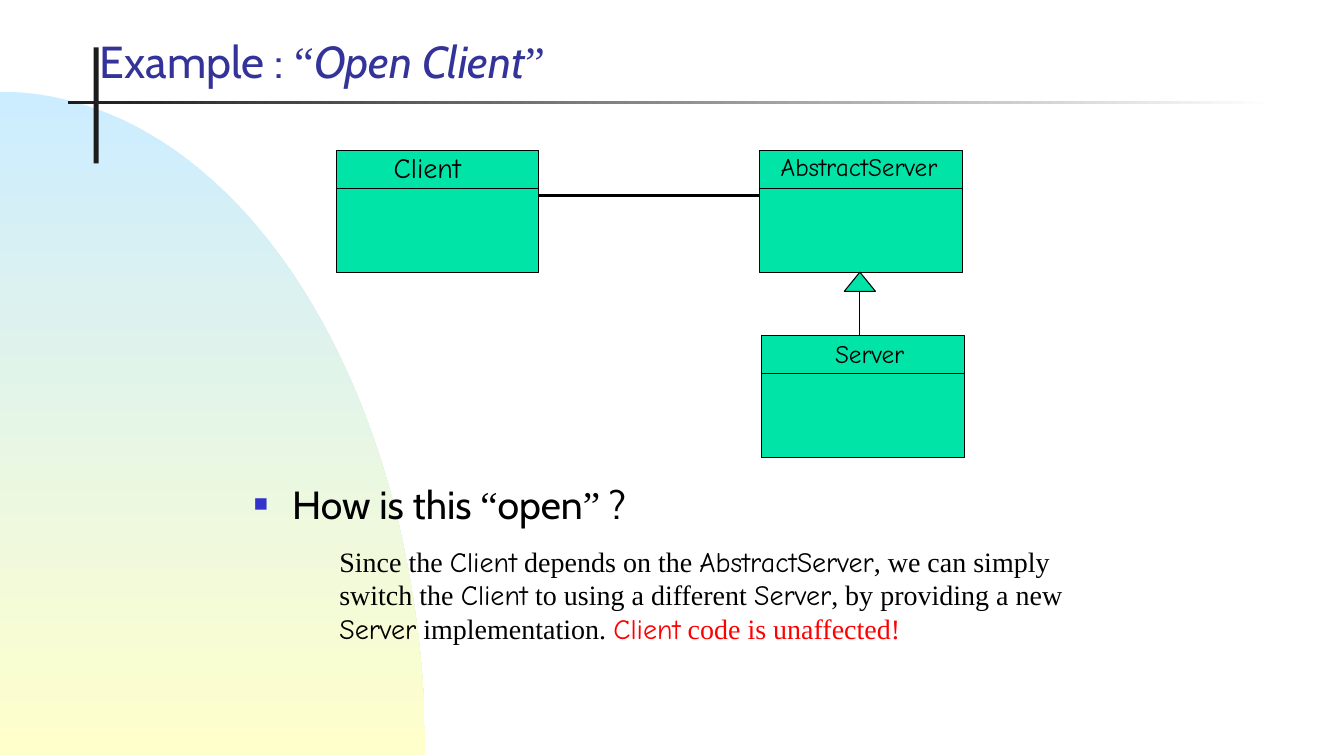
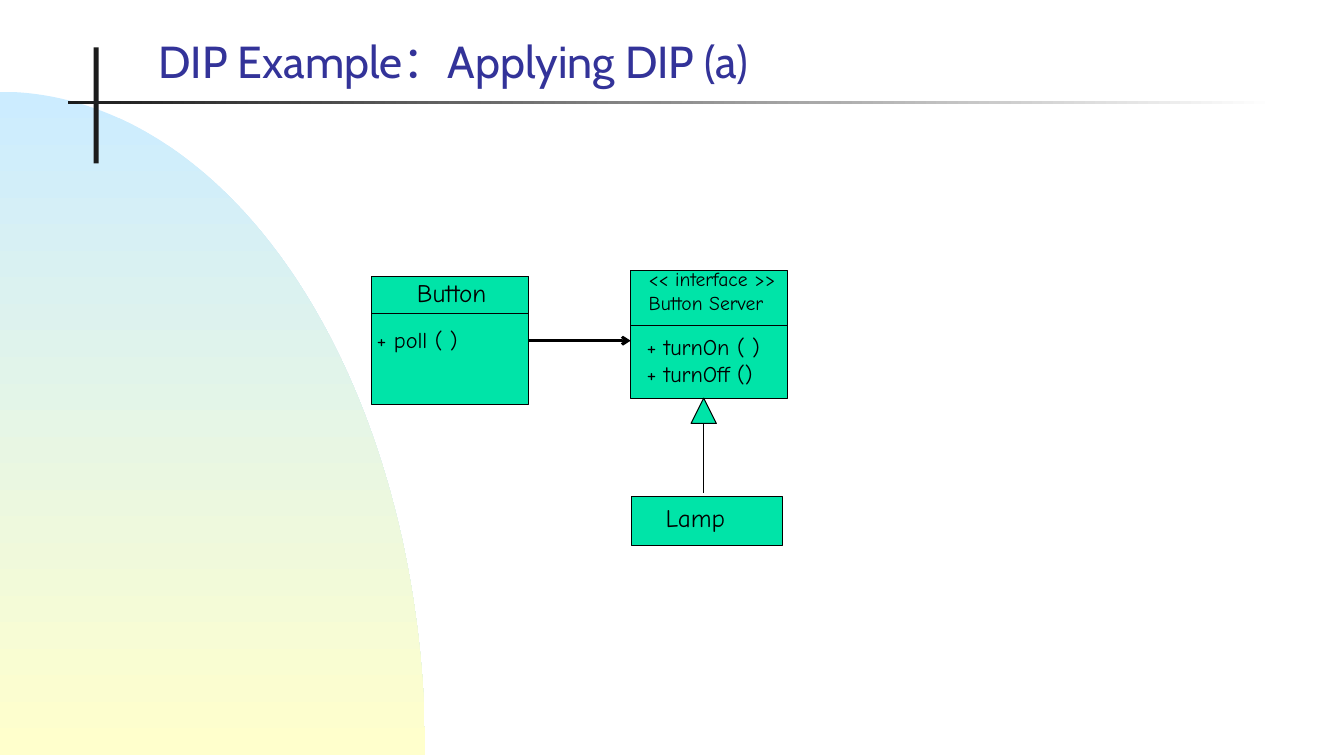
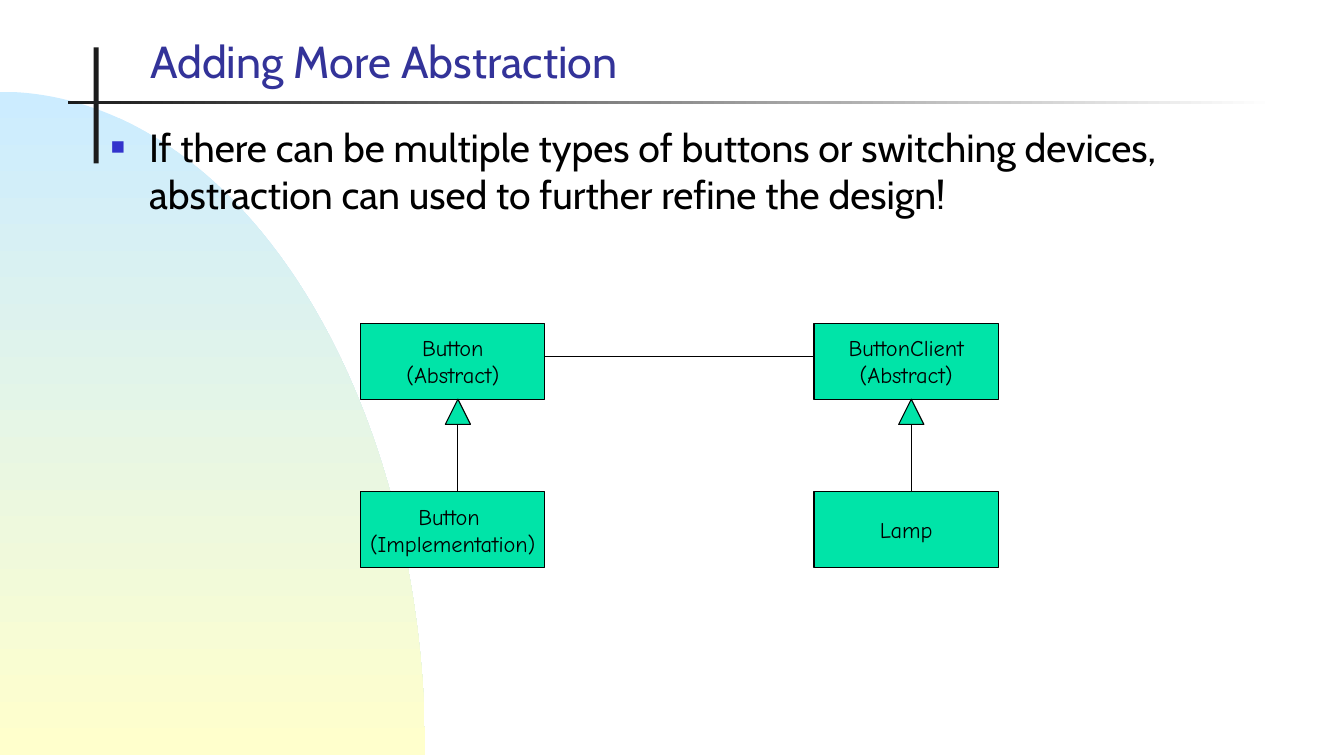
"""Build three slides on the open-closed and dependency inversion principles."""
import dataclasses
import math

import lxml.etree
import pptx
import pptx.dml.color
import pptx.dml.fill
import pptx.enum.dml
import pptx.enum.shapes
import pptx.enum.text
import pptx.oxml.ns
import pptx.presentation
import pptx.shapes.autoshape
import pptx.slide
import pptx.text.text
import pptx.util

Inches = pptx.util.Inches
Pt = pptx.util.Pt
RGBColor = pptx.dml.color.RGBColor
Shapes = pptx.enum.shapes.MSO_SHAPE
Anchor = pptx.enum.text.MSO_ANCHOR
AutoSize = pptx.enum.text.MSO_AUTO_SIZE
Align = pptx.enum.text.PP_ALIGN
qn = pptx.oxml.ns.qn

SKY = RGBColor(0xCC, 0xEC, 0xFF)
CREAM = RGBColor(0xFF, 0xFF, 0xCC)
INK = RGBColor(0x1C, 0x1C, 0x1C)
WHITE = RGBColor(0xFF, 0xFF, 0xFF)
BLACK = RGBColor(0, 0, 0)
NAVY = RGBColor(0x33, 0x33, 0x99)
BULLET = RGBColor(0x33, 0x33, 0xCC)
GREEN = RGBColor(0x00, 0xE4, 0xA8)
RED = RGBColor(0xFF, 0, 0)

SANS = "Cabin"
HAND = "Comic Neue"
SERIF = "Times New Roman"

TITLE_ONLY = 5
TITLE_AND_BODY = 1


@dataclasses.dataclass(frozen=True)
class Area:
    left: float
    top: float
    width: float
    height: float

    @property
    def right(self) -> float:
        return self.left + self.width

    @property
    def bottom(self) -> float:
        return self.top + self.height

    @property
    def center(self) -> float:
        return self.left + self.width / 2

    def lengths(self) -> tuple[pptx.util.Length, ...]:
        return tuple(Inches(value) for value in dataclasses.astuple(self))


@dataclasses.dataclass(frozen=True)
class Span:
    text: str
    font: str = SANS
    italic: bool = False
    color: RGBColor | None = None


@dataclasses.dataclass(frozen=True)
class Label:
    area: Area
    text: str
    size: int


def style_font(font: pptx.text.text.Font, name: str, size: float, color: RGBColor) -> None:
    """Set the face, size and colour of a font."""
    font.name = name
    font.size = Pt(size)
    font.color.rgb = color


def write_spans(para: pptx.text.text._Paragraph, spans: list[Span], size: float, color: RGBColor) -> None:
    """Fill a paragraph with formatted spans."""
    for span in spans:
        run = para.add_run()
        run.text = span.text
        style_font(run.font, span.font, size, span.color or color)
        run.font.italic = span.italic


def set_gradient(fill: pptx.dml.fill.FillFormat, first: RGBColor, last: RGBColor, angle: float) -> None:
    """Give a fill a linear gradient of two colours."""
    fill.gradient()
    fill.gradient_angle = angle
    for stop, color in zip(fill.gradient_stops, (first, last)):
        stop.color.rgb = color


def decorate_master(deck: pptx.presentation.Presentation) -> None:
    """Put the dome and the crossed bars on the slide master."""
    page = deck.slides[0]
    radius_x, radius_y, base = 4.22, 6.58, 7.49
    angles = [math.radians(degree) for degree in range(0, 91)]
    curve = [
        (Inches(radius_x * math.sin(angle)), Inches(base - radius_y * math.cos(angle)))
        for angle in angles
    ]
    builder = page.shapes.build_freeform(*curve[0])
    builder.add_line_segments(curve[1:] + [(Inches(0), Inches(base))], close=True)
    dome = builder.convert_to_shape()
    set_gradient(dome.fill, SKY, CREAM, 270)

    upright = page.shapes.add_shape(Shapes.RECTANGLE, *Area(0.93, 0.47, 0.05, 1.15).lengths())
    upright.fill.solid()
    upright.fill.fore_color.rgb = INK
    rule = page.shapes.add_shape(Shapes.RECTANGLE, *Area(0.67, 1, 11.99, 0.03).lengths())
    set_gradient(rule.fill, INK, WHITE, 0)

    tree = deck.slide_master.shapes.element
    for index, shape in enumerate((dome, upright, rule)):
        shape.line.fill.background()
        shape.shadow.inherit = False
        shape.element.xpath("./p:nvSpPr/p:cNvPr")[0].set("id", str(100 + index))
        tree.insert(2 + index, shape.element)


def place_text(box: pptx.shapes.autoshape.Shape, area: Area, anchor: Anchor) -> pptx.text.text._Paragraph:
    """Move a placeholder and return its first paragraph, aligned left."""
    box.left, box.top, box.width, box.height = area.lengths()
    box.text_frame.auto_size = AutoSize.NONE
    box.text_frame.vertical_anchor = anchor
    para = box.text_frame.paragraphs[0]
    para.alignment = Align.LEFT
    return para


def add_page(deck: pptx.presentation.Presentation, layout: int, left: float, title: list[Span]) -> pptx.slide.Slide:
    """Add a slide whose title starts at the given left edge."""
    page = deck.slides.add_slide(deck.slide_layouts[layout])
    para = place_text(page.shapes.title, Area(left, 0.17, 10.33 - left, 0.75), Anchor.BOTTOM)
    write_spans(para, title, 32, NAVY)
    return page


def fill_body(page: pptx.slide.Slide, area: Area, spans: list[Span]) -> None:
    """Write one square-bulleted item in the body placeholder."""
    para = place_text(page.placeholders[1], area, Anchor.TOP)
    properties = para._p.get_or_add_pPr()
    properties.set("marL", str(Inches(0.38)))
    properties.set("indent", str(-Inches(0.38)))
    color = lxml.etree.SubElement(properties, qn("a:buClr"))
    lxml.etree.SubElement(color, qn("a:srgbClr"), val=str(BULLET))
    lxml.etree.SubElement(properties, qn("a:buSzPct"), val="60000")
    lxml.etree.SubElement(properties, qn("a:buChar"), char="■")
    para.space_before = Pt(0)
    write_spans(para, spans, 28, BLACK)


def add_figure(shapes, area: Area, kind: Shapes = Shapes.RECTANGLE) -> pptx.shapes.autoshape.Shape:
    """Add a green shape with a thin black outline."""
    figure = shapes.add_shape(kind, *area.lengths())
    figure.shadow.inherit = False
    figure.fill.solid()
    figure.fill.fore_color.rgb = GREEN
    figure.line.color.rgb = BLACK
    figure.line.width = Pt(0.75)
    return figure


def add_line(shapes, start: tuple[float, float], end: tuple[float, float],
             width: float = 0.75, arrow: bool = False) -> None:
    """Draw a straight black line, with an arrowhead at its end if asked."""
    points = [Inches(value) for value in (*start, *end)]
    line = shapes.add_connector(pptx.enum.shapes.MSO_CONNECTOR.STRAIGHT, *points)
    line.line.color.rgb = BLACK
    line.line.width = Pt(width)
    properties = line.element.spPr
    if arrow:
        lxml.etree.SubElement(properties.find(qn("a:ln")), qn("a:tailEnd"), type="arrow")
    lxml.etree.SubElement(properties, qn("a:effectLst"))


def add_class_box(page: pptx.slide.Slide, area: Area, header: float) -> None:
    """Draw a class box with a divider below its header."""
    group = page.shapes.add_group_shape()
    add_figure(group.shapes, area)
    level = area.top + header
    add_line(group.shapes, (area.left, level), (area.right, level))


def add_inheritance(page: pptx.slide.Slide, head: Area, foot: float) -> None:
    """Draw a triangle head with a line down to the derived class."""
    add_figure(page.shapes, head, Shapes.ISOSCELES_TRIANGLE)
    add_line(page.shapes, (head.center, head.bottom), (head.center, foot))


def write_lines(frame: pptx.text.text.TextFrame, text: str, size: int) -> None:
    """Write lines of handwritten text in a frame."""
    frame.text = text
    for para in frame.paragraphs:
        style_font(para.font, HAND, size, BLACK)


def add_labels(page: pptx.slide.Slide, labels: list[Label]) -> None:
    """Add text boxes of fixed size for the labels."""
    for label in labels:
        box = page.shapes.add_textbox(*label.area.lengths())
        box.text_frame.word_wrap = True
        box.text_frame.auto_size = AutoSize.NONE
        write_lines(box.text_frame, label.text, label.size)


def build_open_client(deck: pptx.presentation.Presentation) -> None:
    """Build the slide on the open client."""
    title = [Span("Example : "), Span("“", SERIF), Span("Open Client", italic=True), Span("”", SERIF)]
    page = add_page(deck, TITLE_AND_BODY, 0.89, title)
    question = [Span("How is this "), Span("“", SERIF), Span("open"), Span("”", SERIF), Span(" ?")]
    fill_body(page, Area(2.42, 4.71, 8.83, 2.37), question)

    client, abstract, server = (
        Area(left, top, 2.01, 1.21) for left, top in ((3.34, 1.49), (7.54, 1.49), (7.56, 3.33))
    )
    for area in (client, abstract, server):
        add_class_box(page, area, 0.38)
    add_line(page.shapes, (client.right, 1.94), (abstract.left, 1.94), 1.5)
    add_inheritance(page, Area(8.38, abstract.bottom, 0.31, 0.19), server.top)
    add_labels(page, [
        Label(Area(3.81, 1.44, 1, 0.44), "Client", 20),
        Label(Area(7.65, 1.45, 1.88, 0.4), "AbstractServer", 18),
        Label(Area(8.19, 3.31, 1, 0.4), "Server", 18),
    ])

    answer = page.shapes.add_textbox(*Area(3.27, 5.35, 7.96, 1.1).lengths())
    answer.text_frame.word_wrap = True
    write_spans(answer.text_frame.paragraphs[0], [
        Span("Since the ", SERIF),
        Span("Client", HAND),
        Span(" depends on the ", SERIF),
        Span("AbstractServer", HAND),
        Span(", we can simply switch the ", SERIF),
        Span("Client", HAND),
        Span(" to using a different ", SERIF),
        Span("Server", HAND),
        Span(", by providing a new ", SERIF),
        Span("Server", HAND),
        Span(" implementation. ", SERIF),
        Span("Client", HAND, color=RED),
        Span(" code is unaffected!", SERIF, color=RED),
    ], 20, BLACK)


def build_applying_dip(deck: pptx.presentation.Presentation) -> None:
    """Build the slide on applying dependency inversion."""
    page = add_page(deck, TITLE_ONLY, 1.47, [Span("DIP Example：Applying DIP (a)")])
    button = Area(3.69, 2.74, 1.56, 1.27)
    interface = Area(6.26, 2.68, 1.56, 1.27)
    lamp = Area(6.27, 4.93, 1.5, 0.48)
    add_class_box(page, button, 0.37)
    add_class_box(page, interface, 0.55)
    add_figure(page.shapes, lamp)
    add_line(page.shapes, (button.right, 3.38), (interface.left, 3.38), 2, arrow=True)
    add_inheritance(page, Area(6.86, interface.bottom, 0.25, 0.25), 4.89)
    add_labels(page, [
        Label(Area(4.04, 2.7, 1, 0.4), "Button", 18),
        Label(Area(3.64, 3.19, 1.3, 0.37), "+ poll ( )", 16),
        Label(Area(6.34, 2.6, 1.6, 0.57), "<< interface >>\nButton Server", 14),
        Label(Area(6.32, 3.26, 1.5, 0.64), "+ turnOn ( )\n+ turnOff ()", 16),
        Label(Area(6.51, 4.93, 0.9, 0.4), "Lamp", 18),
    ])


def build_more_abstraction(deck: pptx.presentation.Presentation) -> None:
    """Build the slide on adding more abstraction."""
    page = add_page(deck, TITLE_AND_BODY, 1.39, [Span("Adding More Abstraction")])
    fill_body(page, Area(1, 1.17, 11.78, 5.92), [Span(
        "If there can be multiple types of buttons or switching devices, "
        "abstraction can used to further refine the design!"
    )])
    columns = (
        (3.58, "Button\n(Abstract)", "Button \n(Implementation)"),
        (8.08, "ButtonClient\n(Abstract)", "Lamp"),
    )
    width, height, upper, lower = 1.83, 0.75, 3.21, 4.88
    for left, parent, child in columns:
        for top, text in ((upper, parent), (lower, child)):
            figure = add_figure(page.shapes, Area(left, top, width, height))
            figure.text_frame.word_wrap = False
            figure.text_frame.vertical_anchor = Anchor.MIDDLE
            write_lines(figure.text_frame, text, 16)
            for para in figure.text_frame.paragraphs:
                para.alignment = Align.CENTER
        add_inheritance(page, Area(left + 0.84, upper + height, 0.25, 0.25), lower)
    add_line(page.shapes, (columns[0][0] + width, 3.54), (columns[1][0], 3.54))


def main() -> None:
    """Build and save the deck."""
    deck = pptx.Presentation()
    deck.slide_width, deck.slide_height = Inches(13.34), Inches(7.5)
    build_open_client(deck)
    build_applying_dip(deck)
    build_more_abstraction(deck)
    decorate_master(deck)
    deck.save("out.pptx")


if __name__ == "__main__":
    main()
